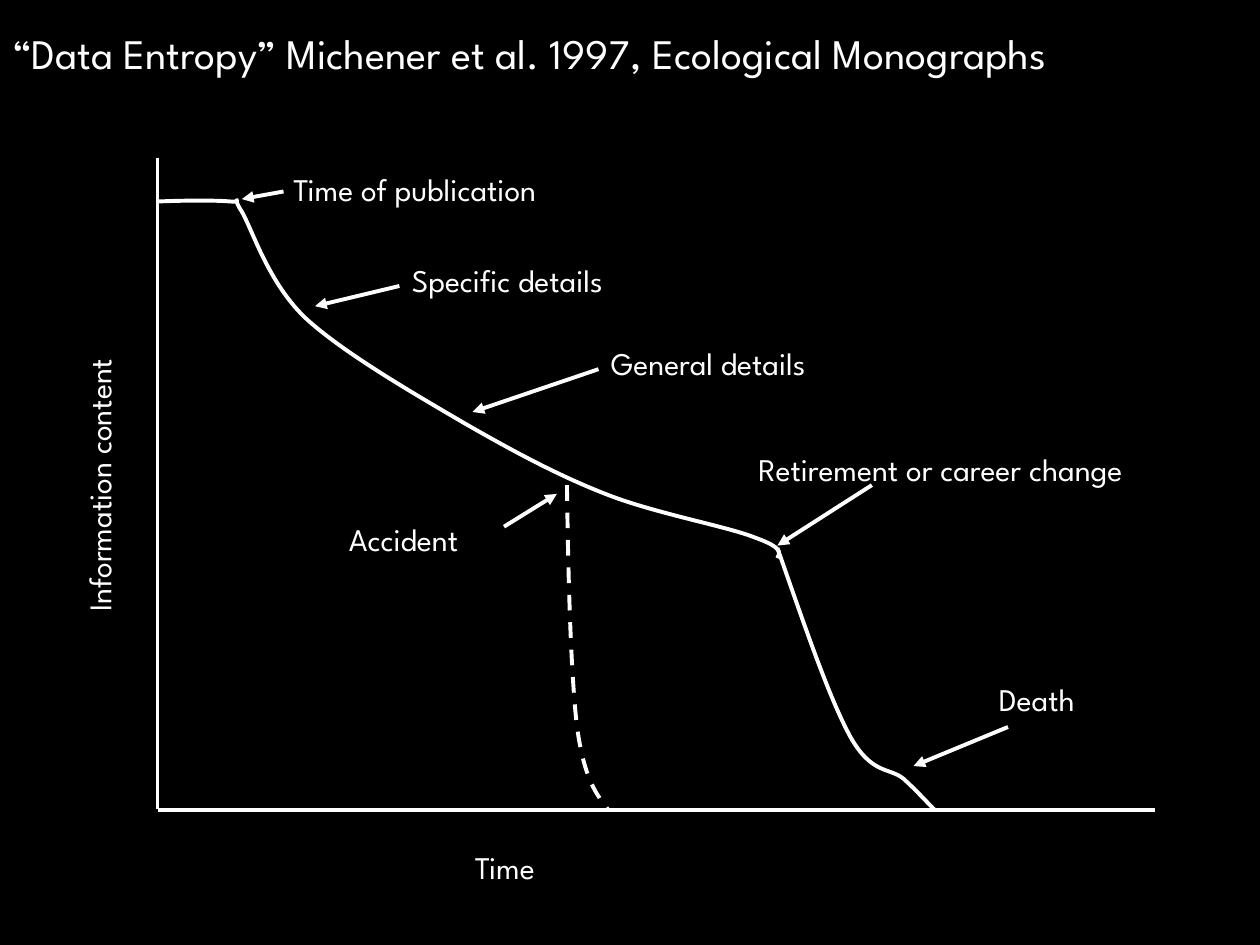
"""Build the data entropy slide: information content decaying over time."""
from lxml.etree import SubElement
from pptx import Presentation
from pptx.dml.color import RGBColor
from pptx.enum.dml import MSO_LINE_DASH_STYLE as DASH
from pptx.enum.shapes import MSO_CONNECTOR as CONNECTOR
from pptx.enum.text import MSO_ANCHOR as ANCHOR, MSO_AUTO_SIZE as AUTO_SIZE, PP_ALIGN as ALIGN
from pptx.oxml.ns import qn
from pptx.util import Inches, Pt

BLACK = RGBColor(0, 0, 0)
WHITE = RGBColor(255, 255, 255)
FONT = "League Spartan"
LINE_WIDTH = Pt(2.25)
LABEL_HEIGHT = 0.4

TITLE = "“Data Entropy” Michener et al. 1997, Ecological Monographs"
TITLE_BOX = (0, 0.17, 10.14, 0.5)
LABELS = [
    ("Information content", -0.53, 3.44, 2.63, 270),
    ("Time", 3.67, 6.68, 0.77, 0),
    ("Time of publication", 2.23, 1.3, 2.53, 0),
    ("Specific details", 3.17, 2.02, 2.03, 0),
    ("General details", 4.75, 2.68, 2.06, 0),
    ("Retirement or career change", 5.92, 3.52, 3.77, 0),
    ("Death", 7.83, 5.35, 0.96, 0),
    ("Accident", 2.67, 4.08, 1.58, 0),
]
AXES = [((1.25, 1.25), (1.25, 6.42)), ((1.25, 6.43), (9.17, 6.43))]
ARROWS = [
    ((6.92, 3.85), (6.17, 4.33)),
    ((8, 5.77), (7.25, 6.08)),
    ((4.75, 2.93), (3.75, 3.27)),
    ((3.17, 2.27), (2.5, 2.43)),
    ((2.25, 1.52), (1.92, 1.58)),
    ((4, 4.18), (4.42, 3.92)),
]
CAREER_CURVE = [
    (1.25, 1.6),
    (1.49, 1.59), (1.72, 1.59), (1.83, 1.6),
    (1.95, 1.61), (1.82, 1.53), (1.92, 1.68),
    (2.01, 1.84), (2.13, 2.24), (2.42, 2.52),
    (2.71, 2.79), (3.26, 3.11), (3.67, 3.35),
    (4.07, 3.58), (4.44, 3.78), (4.83, 3.93),
    (5.22, 4.08), (5.78, 4.18), (6, 4.27),
    (6.22, 4.35), (6.19, 4.39), (6.17, 4.43),
]
RETIREMENT_CURVE = [
    (6.17, 4.35),
    (6.38, 4.95), (6.58, 5.54), (6.75, 5.85),
    (6.92, 6.15), (7.06, 6.09), (7.17, 6.18),
    (7.28, 6.28), (7.35, 6.36), (7.42, 6.43),
]
ACCIDENT_CURVE = [
    (4.5, 3.85),
    (4.51, 4.59), (4.53, 5.34), (4.58, 5.77),
    (4.64, 6.2), (4.74, 6.31), (4.83, 6.43),
]
CURVES = [(CAREER_CURVE, None), (RETIREMENT_CURVE, None), (ACCIDENT_CURVE, DASH.DASH)]


def write_text(shape, text, size):
    frame = shape.text_frame
    frame.text = text
    frame.word_wrap = False
    frame.auto_size = AUTO_SIZE.SHAPE_TO_FIT_TEXT
    frame.vertical_anchor = ANCHOR.TOP
    paragraph = frame.paragraphs[0]
    paragraph.alignment = ALIGN.LEFT
    font = paragraph.runs[0].font
    font.name, font.size, font.color.rgb = FONT, Pt(size), WHITE


def style_line(line):
    line.color.rgb = WHITE
    line.width = LINE_WIDTH


def add_line(slide, start, end, arrow=False):
    ends = [Inches(value) for value in (*start, *end)]
    connector = slide.shapes.add_connector(CONNECTOR.STRAIGHT, *ends)
    style_line(connector.line)
    if arrow:
        SubElement(connector.line._get_or_add_ln(), qn("a:tailEnd"), type="triangle")
    SubElement(connector._element.spPr, qn("a:effectLst"))


def bend_segments(curve):
    outline = next(curve._element.iter(qn("a:path")))
    segments = outline.findall(qn("a:lnTo"))
    for first in range(0, len(segments), 3):
        bezier = SubElement(outline, qn("a:cubicBezTo"))
        for segment in segments[first:first + 3]:
            bezier.append(segment[0])
            outline.remove(segment)


def add_curve(slide, controls, dash):
    start, *others = [(Inches(x), Inches(y)) for x, y in controls]
    builder = slide.shapes.build_freeform(*start)
    builder.add_line_segments(others, close=False)
    curve = builder.convert_to_shape()
    bend_segments(curve)
    curve.shadow.inherit = False
    curve.fill.background()
    style_line(curve.line)
    if dash:
        curve.line.dash_style = dash


def main():
    presentation = Presentation()
    presentation.slide_width, presentation.slide_height = Inches(10), Inches(7.5)
    slide = presentation.slides.add_slide(presentation.slide_layouts[5])
    slide.background.fill.solid()
    slide.background.fill.fore_color.rgb = BLACK

    title = slide.shapes.title
    title.left, title.top, title.width, title.height = map(Inches, TITLE_BOX)
    write_text(title, TITLE, 24)

    for start, end in AXES:
        add_line(slide, start, end)
    for controls, dash in CURVES:
        add_curve(slide, controls, dash)
    for text, left, top, width, rotation in LABELS:
        box = map(Inches, (left, top, width, LABEL_HEIGHT))
        label = slide.shapes.add_textbox(*box)
        label.rotation = rotation
        write_text(label, text, 18)
    for start, end in ARROWS:
        add_line(slide, start, end, arrow=True)

    presentation.save("out.pptx")


if __name__ == "__main__":
    main()
